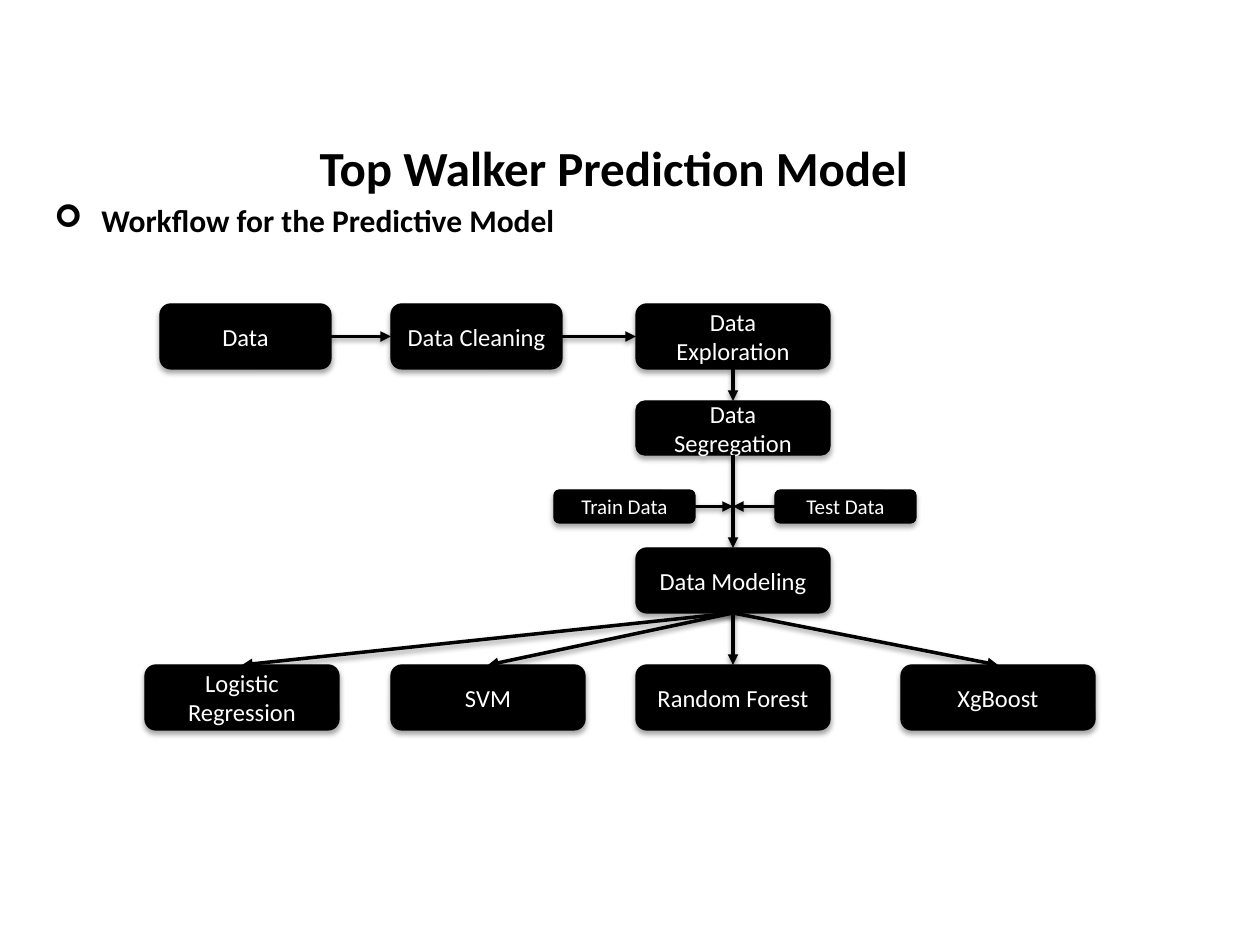
"""Build the Top Walker prediction model workflow slide."""
from lxml import etree
from pptx import Presentation
from pptx.dml.color import RGBColor
from pptx.enum.shapes import MSO_CONNECTOR, MSO_SHAPE
from pptx.enum.text import MSO_ANCHOR, MSO_AUTO_SIZE, PP_ALIGN
from pptx.oxml import parse_xml
from pptx.oxml.ns import nsdecls, qn
from pptx.util import Emu, Pt

ROUNDED, STRAIGHT = MSO_SHAPE.ROUNDED_RECTANGLE, MSO_CONNECTOR.STRAIGHT
LEFT, CENTER = PP_ALIGN.LEFT, PP_ALIGN.CENTER
TOP, MIDDLE = MSO_ANCHOR.TOP, MSO_ANCHOR.MIDDLE
NO_FIT = MSO_AUTO_SIZE.NONE
SITES = {"top": 0, "left": 1, "bottom": 2, "right": 3}

COLORS = {"ink": "000000", "paper": "FFFFFF"}
TITLE = ("Top Walker Prediction Model", (307, 131, 822, 72))
SUBTITLE = ("Workflow for the Predictive Model", (42, 195, 822, 50))

FIRST, SECOND, MAIN, LAST = 145, 391, 636, 901
WIDE, NARROW, TALL = 194, 171, 65
STEP_Y, MODEL_Y, RESULT_Y = 304, 548, 665
SPLIT_Y, SPLIT_W, SPLIT_H = 490, 141, 33
BOXES = [
    ("Data", 160, STEP_Y, NARROW, TALL, 14),
    ("Data Cleaning", SECOND, STEP_Y, NARROW, TALL, 14),
    ("Data Exploration", MAIN, STEP_Y, WIDE, TALL, 14),
    ("Data Segregation", MAIN, 401, WIDE, 54, 14),
    ("Data Modeling", MAIN, MODEL_Y, WIDE, TALL, 14),
    ("Logistic Regression", FIRST, RESULT_Y, WIDE, TALL, 14),
    ("SVM", SECOND, RESULT_Y, WIDE, TALL, 14),
    ("Random Forest", MAIN, RESULT_Y, WIDE, TALL, 14),
    ("XgBoost", LAST, RESULT_Y, WIDE, TALL, 14),
    ("Train Data", 554, SPLIT_Y, SPLIT_W, SPLIT_H, 12),
    ("Test Data", 775, SPLIT_Y, SPLIT_W, SPLIT_H, 12),
]
MODELS = ["Random Forest", "SVM", "XgBoost", "Logistic Regression"]
ARROWS = [
    ("Data", "right", "Data Cleaning", "left"),
    ("Data Cleaning", "right", "Data Exploration", "left"),
    ("Data Exploration", "bottom", "Data Segregation", "top"),
    ("Data Segregation", "bottom", "Data Modeling", "top"),
] + [("Data Modeling", "bottom", model, "top") for model in MODELS]
SPLITS = [("Train Data", "right"), ("Test Data", "left")]
JUNCTION = (MAIN + WIDE / 2, SPLIT_Y + SPLIT_H / 2)


def px(n):
    return Emu(round(n * 914400 / 126))


def write(shape, text, size, color, bold=False, align=LEFT, anchor=TOP):
    tf = shape.text_frame
    for name, value in {"word_wrap": True, "auto_size": NO_FIT, "vertical_anchor": anchor}.items():
        setattr(tf, name, value)
    p = tf.paragraphs[0]
    p.alignment = align
    r = p.add_run()
    r.text = text
    for name, value in {"size": Pt(size), "name": "Calibri", "bold": bold}.items():
        setattr(r.font, name, value)
    r.font.color.rgb = RGBColor.from_string(COLORS[color])
    return p


def add_shadow(shape, dist, alpha):
    shape._element.spPr.append(parse_xml(
        f'<a:effectLst {nsdecls("a")}><a:outerShdw blurRad="{Pt(3.1)}" dist="{Pt(dist)}" '
        f'dir="5400000" rotWithShape="0"><a:srgbClr val="{COLORS["ink"]}">'
        f'<a:alpha val="{alpha * 1000}"/></a:srgbClr></a:outerShdw></a:effectLst>'))


def set_line(shape, width):
    shape.line.color.rgb = RGBColor.from_string(COLORS["ink"])
    shape.line.width = Pt(width)


def add_box(s, text, x, y, w, h, size):
    sp = s.shapes.add_shape(ROUNDED, px(x), px(y), px(w), px(h))
    sp.fill.solid()
    sp.fill.fore_color.rgb = RGBColor.from_string(COLORS["ink"])
    set_line(sp, 0.75)
    add_shadow(sp, 1.8, 35)
    write(sp, text, size, "paper", align=CENTER, anchor=MIDDLE)
    return sp


def add_arrow(s, start, side, end=None, end_side=None):
    x, y = map(px, JUNCTION)
    line = s.shapes.add_connector(STRAIGHT, x, y, x, y)
    line.begin_connect(start, SITES[side])
    if end is not None:
        line.end_connect(end, SITES[end_side])
    set_line(line, 2)
    etree.SubElement(line.line._get_or_add_ln(), qn("a:tailEnd"), type="triangle")
    add_shadow(line, 1.6, 38)


def main():
    prs = Presentation()
    prs.slide_width, prs.slide_height = px(1260), px(945)
    s = prs.slides.add_slide(prs.slide_layouts[5])

    text, place = TITLE
    title = s.shapes.title
    for name, value in zip(("left", "top", "width", "height"), place):
        setattr(title, name, px(value))
    write(title, text, 28, "ink", bold=True)

    text, place = SUBTITLE
    p = write(s.shapes.add_textbox(*map(px, place)), text, 18, "ink", bold=True)
    pPr = p._p.get_or_add_pPr()
    pPr.set("marL", str(px(47)))
    pPr.set("indent", str(-px(47)))
    etree.SubElement(pPr, qn("a:buFont"), typeface="Wingdings")
    etree.SubElement(pPr, qn("a:buChar"), char="➢")

    boxes = {box[0]: add_box(s, *box) for box in BOXES}
    for start, side, end, end_side in ARROWS:
        add_arrow(s, boxes[start], side, boxes[end], end_side)
    for start, side in SPLITS:
        add_arrow(s, boxes[start], side)
    prs.save("out.pptx")


if __name__ == "__main__":
    main()
